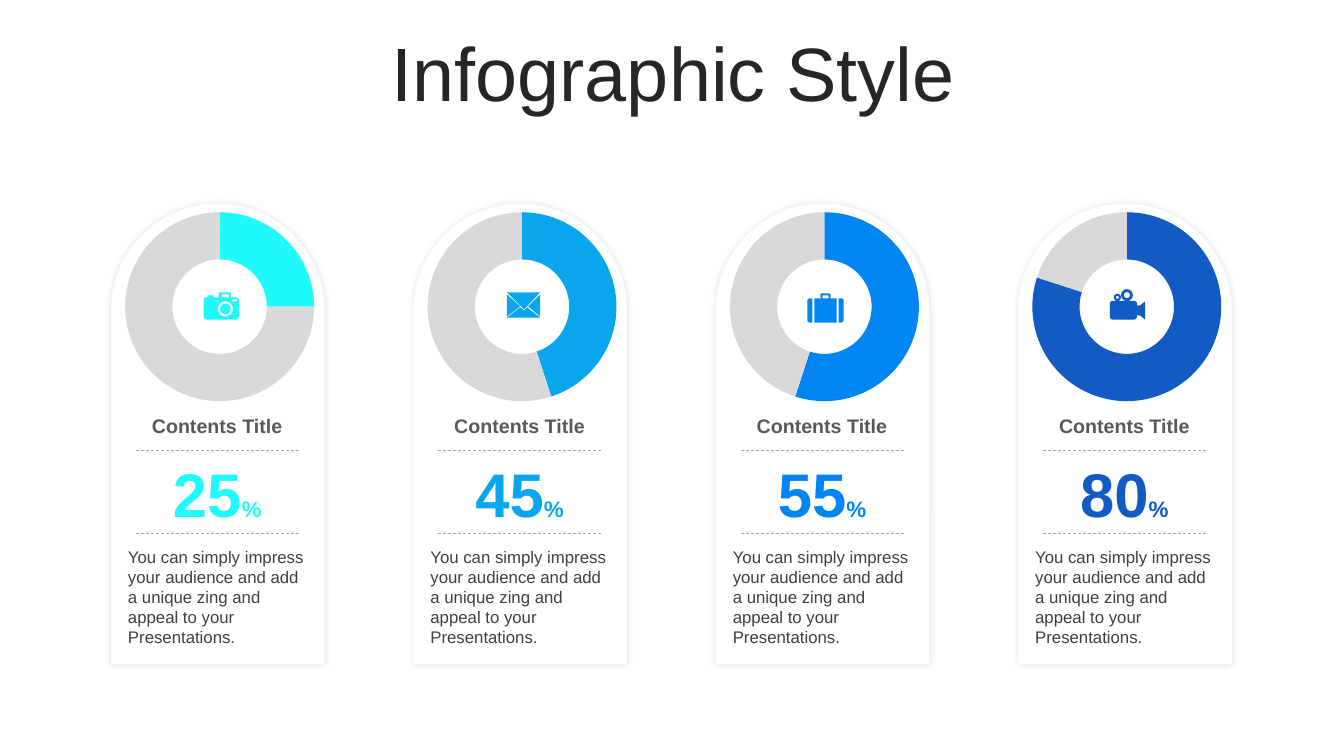
"""Build a slide of four arched cards, each with a doughnut chart and an icon."""
import math
from dataclasses import dataclass

from lxml import etree
from pptx import Presentation
from pptx import util as u
from pptx.chart import data
from pptx.dml import color
from pptx.enum import chart as ch, dml, shapes, text
from pptx.oxml import ns, parse_xml


@dataclass(frozen=True)
class Theme:
    font: str = "Arial"
    title: str = "262626"
    heading: str = "595959"
    body: str = "404040"
    rule: str = "A6A6A6"
    rest: str = "D9D9D9"
    card: str = "FFFFFF"
    black: str = "000000"
    title_size: int = 54
    heading_size: int = 14
    figure_size: int = 44
    percent_size: int = 16
    body_size: int = 12
    chart_size: int = 18


THEME = Theme()
SHADOW = (
    f'<a:effectLst {ns.nsdecls("a")}><a:outerShdw blurRad="63500" algn="ctr" rotWithShape="0">'
    '<a:srgbClr val="000000"><a:alpha val="11000"/></a:srgbClr></a:outerShdw></a:effectLst>'
)
PLOT_LAYOUT = {"layoutTarget": "inner", "xMode": "edge", "yMode": "edge",
               "x": 0.038, "y": 0.028, "w": 0.976, "h": 0.942}


def rgb(value):
    return color.RGBColor.from_string(value)


def arc(cx, cy, radius, start=0, sweep=360, steps=24):
    angles = [math.radians(start + sweep * i / steps) for i in range(steps + 1)]
    return [(cx + radius * math.cos(a), cy + radius * math.sin(a)) for a in angles]


def box(left, top, right, bottom, round_left=0, round_right=0):
    a, b = round_left, round_right
    return (arc(left + a, top + a, a, 180, 90, 6) + arc(right - b, top + b, b, 270, 90, 6)
            + arc(right - b, bottom - b, b, 0, 90, 6) + arc(left + a, bottom - a, a, 90, 90, 6))


CAMERA = [
    box(2, 8, 37, 30, 3, 3), box(6, 6, 12, 8, 0.5, 0.5), box(17, 3, 29, 8, 1, 1),
    box(20, 5, 27, 8), box(14, 11, 17, 12), box(30, 10, 35, 12),
    arc(23.5, 19.5, 7.5), arc(23.5, 19.5, 5.2),
]
ENVELOPE = [
    [(23, 18), (36, 28), (3, 28), (16, 18), (20, 21)],
    [(36, 5), (36, 27), (24, 17)],
    [(3, 5), (16, 17), (3, 27)],
    [(3, 3), (36, 3), (20, 20)],
]
SUITCASE = [
    box(1, 9, 6, 33, 2.5, 0), box(8, 9, 30, 33), box(32, 9, 37, 33, 0, 2.5),
    box(14, 4, 24, 9, 1.5, 1.5), box(16, 6, 22, 9, 0.5, 0.5),
]
CAMCORDER = [
    box(1, 11.5, 28, 30, 3, 3), arc(8.5, 8, 3.5), arc(8.5, 8, 1.5),
    arc(18, 5.7, 5.8), arc(18, 5.7, 3),
    [(28, 16), (31, 16), (36, 12), (36, 30), (31, 26), (28, 26)],
]


class Deck:
    """Draws styled elements on a grid of 40 columns and 30 rows."""

    def __init__(self, theme):
        self.theme = theme
        self.prs = Presentation()
        self.prs.slide_width, self.prs.slide_height = u.Inches(13.333), u.Inches(7.5)
        self.s = self.prs.slides.add_slide(self.prs.slide_layouts[5])

    def x(self, columns):
        return round(self.prs.slide_width * columns / 40)

    def y(self, rows):
        return round(self.prs.slide_height * rows / 30)

    def place(self, left, top, width, height):
        return self.x(left), self.y(top), self.x(width), self.y(height)

    def style(self, font, size, shade, bold=False):
        font.name, font.size, font.bold = self.theme.font, u.Pt(size), bold
        font.color.rgb = rgb(shade)

    def title(self, words, *area):
        sp = self.s.shapes.title
        sp.left, sp.top, sp.width, sp.height = self.place(*area)
        tf = sp.text_frame
        tf.text = words
        tf.vertical_anchor = text.MSO_ANCHOR.MIDDLE
        p = tf.paragraphs[0]
        p.alignment, p.line_spacing = text.PP_ALIGN.CENTER, 0.9
        self.style(p.font, self.theme.title_size, self.theme.title)

    def label(self, area, runs, shade, bold=True, align=text.PP_ALIGN.CENTER, inset=0.1):
        tf = self.s.shapes.add_textbox(*self.place(*area)).text_frame
        tf.word_wrap = True
        tf.auto_size = text.MSO_AUTO_SIZE.SHAPE_TO_FIT_TEXT
        tf.margin_left = tf.margin_right = u.Inches(inset)
        p = tf.paragraphs[0]
        p.alignment = align
        for words, size in runs:
            r = p.add_run()
            r.text = words
            self.style(p.font if len(runs) == 1 else r.font, size, shade, bold)

    def arch(self, *area):
        sp = self.s.shapes.add_shape(shapes.MSO_SHAPE.ROUND_2_SAME_RECTANGLE, *self.place(*area))
        sp.adjustments[0] = 0.5
        sp.fill.solid()
        sp.fill.fore_color.rgb = rgb(self.theme.card)
        sp.line.fill.background()
        sp.element.spPr.append(parse_xml(SHADOW))

    def rule(self, left, top, width):
        line = self.s.shapes.add_connector(
            shapes.MSO_CONNECTOR.STRAIGHT, self.x(left), self.y(top), self.x(left + width), self.y(top))
        line.line.color.rgb = rgb(self.theme.rule)
        line.line.width = u.Pt(0.5)
        line.line.dash_style = dml.MSO_LINE.DASH
        etree.SubElement(line.element.spPr, ns.qn("a:effectLst"))

    def doughnut(self, area, share, shade):
        values = data.CategoryChartData()
        values.categories = ["1", "2"]
        values.add_series("Series 1", (share, 100 - share))
        chart = self.s.shapes.add_chart(ch.XL_CHART_TYPE.DOUGHNUT, *self.place(*area), values).chart
        chart.has_legend = chart.has_title = False
        self.style(chart.font, self.theme.chart_size, self.theme.black)
        plot = chart.plots[0]
        plot.vary_by_categories = True
        for i, fill_shade in enumerate((shade, self.theme.rest)):
            fill = plot.series[0].points[i].format.fill
            fill.solid()
            fill.fore_color.rgb = rgb(fill_shade)
        chart.element.xpath(".//c:holeSize")[0].set("val", "55")
        plot_area = chart.element.xpath(".//c:plotArea")[0]
        for layout in plot_area.findall(ns.qn("c:layout")):
            plot_area.remove(layout)
        layout = etree.Element(ns.qn("c:layout"))
        manual = etree.SubElement(layout, ns.qn("c:manualLayout"))
        for name, value in PLOT_LAYOUT.items():
            etree.SubElement(manual, ns.qn(f"c:{name}")).set("val", str(value))
        plot_area.insert(0, layout)

    def icon(self, left, top, contours, shade):
        unit = self.x(0.03)
        scaled = [[(px * unit, py * unit) for px, py in contour] for contour in contours]
        builder = self.s.shapes.build_freeform(*scaled[0][0])
        for i, contour in enumerate(scaled):
            if i:
                builder.move_to(*contour[0])
            builder.add_line_segments(contour[1:], close=True)
        sp = builder.convert_to_shape(self.x(left), self.y(top))
        sp.shadow.inherit = False
        sp.fill.solid()
        sp.fill.fore_color.rgb = rgb(shade)
        sp.line.fill.background()

    def card(self, left, share, shade, contours):
        t = self.theme
        self.arch(left, 8.08, 6.36, 18.28)
        self.label((left + 0.57, 16.24, 5.19, 1.36), [("Contents Title", t.heading_size)], t.heading)
        self.label((left + 0.57, 17.88, 5.19, 3.36),
                   [(str(share), t.figure_size), ("%", t.percent_size)], shade)
        for row in (17.88, 21.16):
            self.rule(left + 0.75, row, 4.86)
        self.label((left + 0.15, 21.48, 6.09, 4.44),
                   [("You can simply impress your audience and add a unique zing and appeal to your "
                     "Presentations.", t.body_size)],
                   t.body, bold=False, align=text.PP_ALIGN.LEFT, inset=0.12)
        self.doughnut((left + 0.15, 8.2, 6.03, 7.96), share, shade)
        self.icon(left + 2.7, 11.48, contours, shade)


def main():
    deck = Deck(THEME)
    deck.title("Infographic Style", 1.05, 1.48, 37.98, 3.16)
    cards = [(25, "1FFBFD", CAMERA), (45, "0AA6ED", ENVELOPE),
             (55, "0085F2", SUITCASE), (80, "125AC4", CAMCORDER)]
    for i, (share, shade, contours) in enumerate(cards):
        deck.card(3.3 + 9 * i, share, shade, contours)
    deck.prs.save("out.pptx")


if __name__ == "__main__":
    main()
